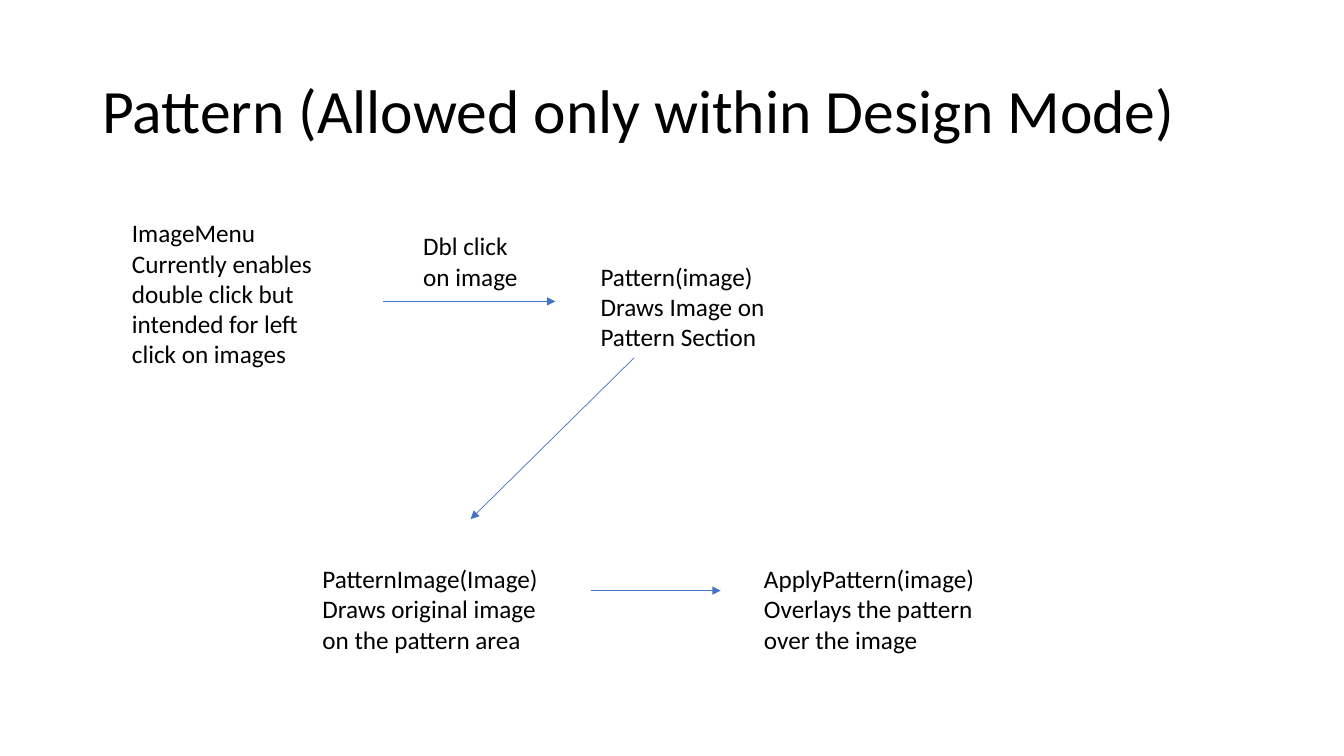
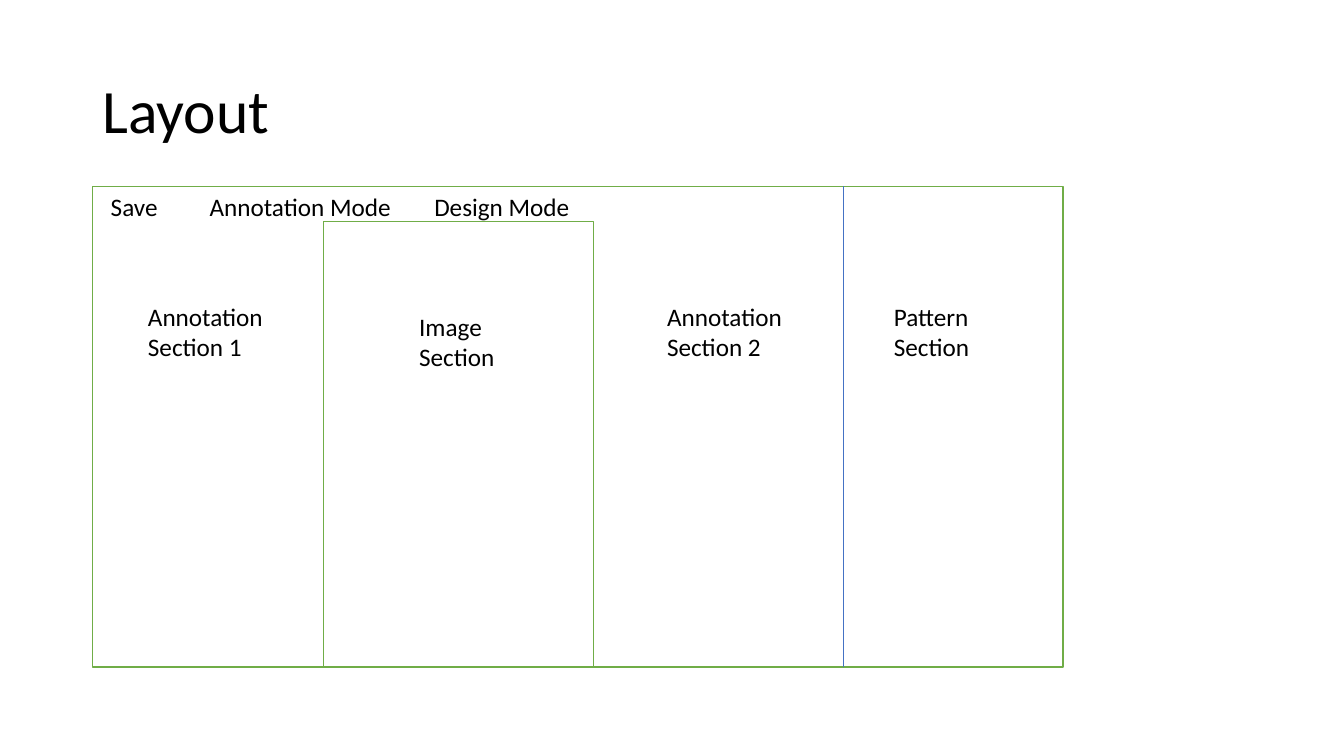
from lxml import etree
from pptx import Presentation
from pptx import util as u
from pptx.dml import color
from pptx.enum import shapes, text
from pptx.oxml import ns

BLACK, WHITE, BLUE, GREEN = "000000", "FFFFFF", "4472C4", "70AD47"


def rgb(value):
    return color.RGBColor.from_string(value)


def assign(target, values):
    for name, value in values.items():
        setattr(target, name, value)


class Deck:
    title_font = {"name": "Calibri", "size": u.Pt(44)}
    body_font = {"name": "Calibri", "size": u.Pt(18)}
    title_frame = {"word_wrap": True, "vertical_anchor": text.MSO_ANCHOR.MIDDLE}
    body_frame = {"word_wrap": True, "auto_size": text.MSO_AUTO_SIZE.SHAPE_TO_FIT_TEXT}

    def __init__(self):
        self.show = Presentation()
        assign(self.show, {"slide_width": u.Pt(960), "slide_height": u.Pt(540)})
        self.slide = None

    def add_text(self, box, lines, frame_format, font, spacing=1.0):
        frame = self.slide.shapes.add_textbox(*map(u.Pt, box)).text_frame
        assign(frame, frame_format)
        for index, line in enumerate(lines):
            paragraph = frame.add_paragraph() if index else frame.paragraphs[0]
            paragraph.line_spacing = spacing
            run = paragraph.add_run()
            run.text = line
            assign(run.font, font)
            run.font.color.rgb = rgb(BLACK)

    def start(self, heading):
        self.slide = self.show.slides.add_slide(self.show.slide_layouts[6])
        self.add_text((66, 28.8, 828, 104.4), [heading],
                      self.title_frame, self.title_font, 0.9)

    def label(self, left, top, width, height, *lines):
        self.add_text((left, top, width, height), lines, self.body_frame, self.body_font)

    def panel(self, left, top, width, height):
        area = self.slide.shapes.add_shape(
            shapes.MSO_SHAPE.RECTANGLE, *map(u.Pt, (left, top, width, height)))
        area.shadow.inherit = False
        area.fill.solid()
        area.fill.fore_color.rgb = rgb(WHITE)
        area.line.color.rgb = rgb(GREEN)
        area.line.width = u.Pt(1)

    def line(self, x1, y1, x2, y2, arrow=False):
        link = self.slide.shapes.add_connector(
            shapes.MSO_CONNECTOR.STRAIGHT, *map(u.Pt, (x1, y1, x2, y2)))
        link.line.color.rgb = rgb(BLUE)
        link.line.width = u.Pt(0.5)
        properties = link._element.spPr
        if arrow:
            outline = properties.find(ns.qn("a:ln"))
            etree.SubElement(outline, ns.qn("a:tailEnd"), type="triangle")
        etree.SubElement(properties, ns.qn("a:effectLst"))


def pattern_slide(deck):
    deck.start("Pattern (Allowed only within Design Mode)")
    deck.label(87.1, 151.9, 167, 116.6,
               "ImageMenu Currently enables double click but intended for left click on images")
    deck.label(295.2, 161.3, 93.6, 51, "Dbl click on image")
    deck.label(421.9, 182.9, 172.8, 72.7,
               "Pattern(image)", "Draws Image on Pattern Section")
    deck.label(223.2, 398.9, 174.2, 72.7,
               "PatternImage(Image) Draws original image on the pattern area")
    deck.label(538.6, 398.9, 181.4, 72.7,
               "ApplyPattern(image)", "Overlays the pattern over the image")
    for ends in ((273.6, 215.3, 396.7, 215.3),
                 (452.9, 255.6, 336.2, 370.8),
                 (421.9, 421.9, 514.8, 421.9)):
        deck.line(*ends, arrow=True)


def layout_slide(deck):
    deck.start("Layout")
    top, bottom, menu_height = 133.2, 476.6, 25.2
    divider = 602.6
    deck.panel(66, top, 693.4, bottom - top)
    deck.line(divider, top, divider, bottom)
    image_top = top + menu_height
    deck.panel(231.1, image_top, 193, bottom - image_top)
    for left, width, command in ((72, 70.6, "Save"),
                                 (142.6, 149.8, "Annotation Mode"),
                                 (303.1, 142.6, "Design Mode")):
        deck.label(left, top, width, 29, command)
    section_top = 211.7
    for left, drop, width, section in ((98.6, 0, 102.2, "Annotation Section 1"),
                                       (292.3, 7.2, 90, "Image Section"),
                                       (469.4, 0, 103, "Annotation Section 2"),
                                       (631.4, 0, 118, "Pattern Section")):
        deck.label(left, section_top + drop, width, 51, section)


def main():
    deck = Deck()
    pattern_slide(deck)
    layout_slide(deck)
    deck.show.save("out.pptx")


if __name__ == "__main__":
    main()
